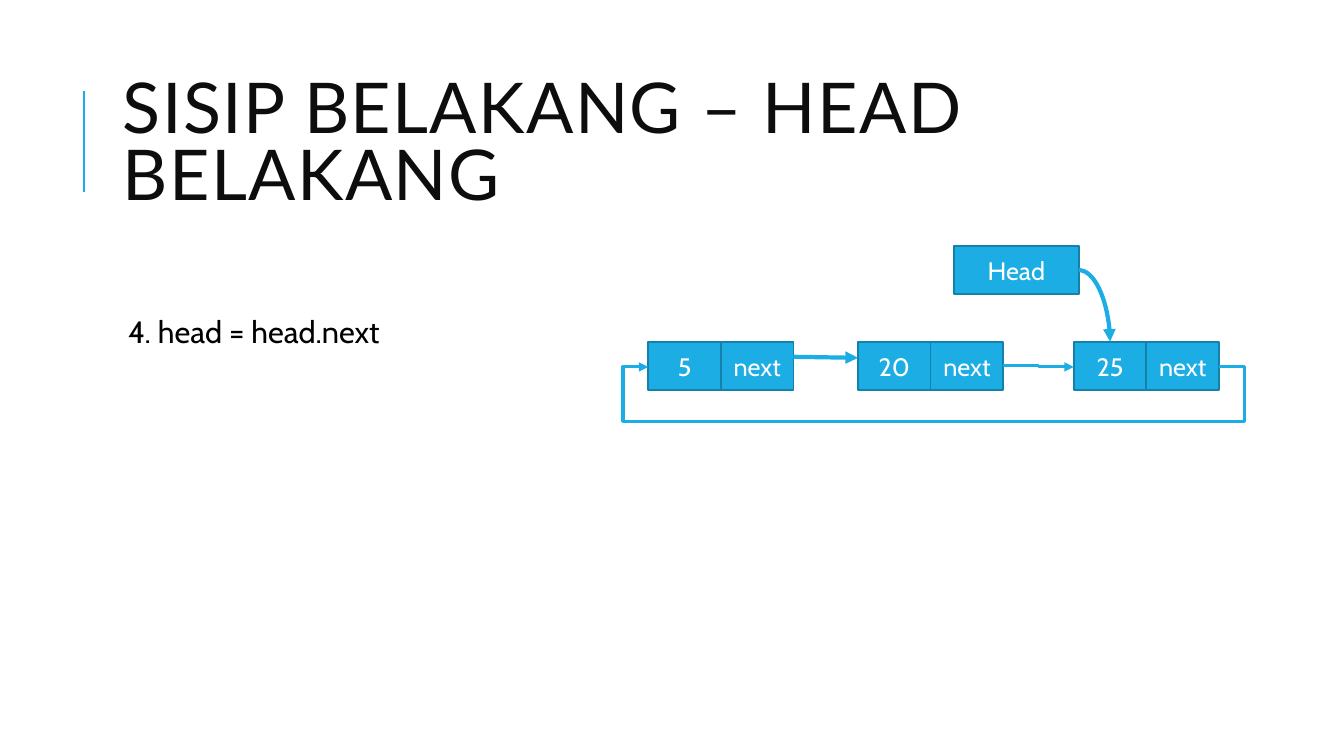
from lxml import etree
from pptx import Presentation
from pptx.dml.color import RGBColor
from pptx.enum.shapes import MSO_CONNECTOR, MSO_SHAPE
from pptx.enum.text import MSO_ANCHOR, PP_ALIGN
from pptx.oxml.ns import qn
from pptx.util import Inches, Pt

BLUE = RGBColor(0x1C, 0xAD, 0xE4)
DARK_BLUE = RGBColor(0x15, 0x80, 0xA9)
WHITE = RGBColor(0xFF, 0xFF, 0xFF)
BLACK = RGBColor(0, 0, 0)
TITLE_BLACK = RGBColor(0x0D, 0x0D, 0x0D)
CELL_W, CELL_H = 0.72, 0.48


def write(frame, text, font, size, color):
    frame.word_wrap = True
    paragraph = frame.paragraphs[0]
    run = paragraph.add_run()
    run.text = text
    run.font.name = font
    run.font.size = Pt(size)
    run.font.color.rgb = color
    return paragraph, run


def style_line(shape, width, arrow=False):
    shape.line.color.rgb = BLUE
    shape.line.width = Pt(width)
    if arrow:
        etree.SubElement(shape.line._get_or_add_ln(), qn("a:tailEnd"), type="triangle")


def add_link(slide, kind, start, end, width, arrow=True):
    link = slide.shapes.add_connector(kind, *map(Inches, start + end))
    style_line(link, width, arrow)
    etree.SubElement(link._element.spPr, qn("a:effectLst"))
    return link


def add_cell(slide, left, top, width, text):
    cell = slide.shapes.add_shape(
        MSO_SHAPE.RECTANGLE, *map(Inches, (left, top, width, CELL_H)))
    cell.shadow.inherit = False
    cell.fill.solid()
    cell.fill.fore_color.rgb = BLUE
    cell.line.color.rgb = DARK_BLUE
    cell.line.width = Pt(1.25)
    cell.text_frame.vertical_anchor = MSO_ANCHOR.MIDDLE
    paragraph, _ = write(cell.text_frame, text, "Cabin", 18, WHITE)
    paragraph.alignment = PP_ALIGN.CENTER


def add_node(slide, left, top, value):
    add_cell(slide, left, top, CELL_W, value)
    add_cell(slide, left + CELL_W, top, CELL_W, "next")


def add_title(slide, left, top, width, height):
    add_link(slide, MSO_CONNECTOR.STRAIGHT,
             (left - 0.29, top + 1.26), (left - 0.29, top + 0.26), 1.5, arrow=False)
    box = slide.shapes.add_textbox(*map(Inches, (left, top, width, height)))
    box.text_frame.vertical_anchor = MSO_ANCHOR.MIDDLE
    paragraph, run = write(
        box.text_frame, "SISIP BELAKANG – HEAD BELAKANG", "Lato", 50, TITLE_BLACK)
    paragraph.line_spacing = 0.8
    run.font._element.set("spc", "100")


def add_step(slide, left, top, width, height):
    box = slide.shapes.add_textbox(*map(Inches, (left, top, width, height)))
    frame = box.text_frame
    frame.margin_left = Inches(0.15)
    frame.margin_top = frame.margin_right = frame.margin_bottom = Inches(0.05)
    paragraph, _ = write(frame, "4. head = head.next", "Cabin", 22, BLACK)
    paragraph.line_spacing = 0.9
    paragraph.space_before = Pt(12)
    paragraph.space_after = Pt(2)


def add_return_path(slide, start, end, drop):
    margin = 0.25
    right, left = start[0] + margin, end[0] - margin
    bottom = start[1] + drop
    points = [start, (right, start[1]), (right, bottom),
              (left, bottom), (left, end[1]), end]
    builder = slide.shapes.build_freeform(
        *map(Inches, points[0]), scale=1.0)
    builder.add_line_segments(
        [tuple(map(Inches, point)) for point in points[1:]], close=False)
    path = builder.convert_to_shape()
    path.shadow.inherit = False
    path.fill.background()
    style_line(path, 2.25, arrow=True)


def add_circular_list(slide, left, top):
    node_top = top + 0.95
    middle = node_top + CELL_H / 2
    first, second, last = left, left + 2.08, left + 4.22
    node_w = 2 * CELL_W
    for node_left, value in ((first, "5"), (second, "20"), (last, "25")):
        add_node(slide, node_left, node_top, value)

    head_left, head_w = left + 3.03, 1.24
    add_cell(slide, head_left, top, head_w, "Head")
    head_link = add_link(slide, MSO_CONNECTOR.CURVE,
                         (head_left + head_w, top + CELL_H / 2),
                         (last + CELL_W / 2, node_top), 3)
    head_link._element.spPr.find(qn("a:prstGeom")).set("prst", "curvedConnector2")

    add_link(slide, MSO_CONNECTOR.STRAIGHT,
             (first + node_w, node_top + 0.15), (second, node_top + 0.16), 3)
    add_link(slide, MSO_CONNECTOR.ELBOW,
             (second + node_w, middle), (last, middle + 0.01), 2.25)
    add_return_path(slide, (last + node_w, middle + 0.01), (first, middle + 0.01), 0.54)


presentation = Presentation()
presentation.slide_width = Inches(13.33)
presentation.slide_height = Inches(7.5)
slide = presentation.slides.add_slide(presentation.slide_layouts[6])
add_title(slide, 1.12, 0.64, 10.63, 1.64)
add_step(slide, 1.12, 3.09, 4.67, 1.05)
add_circular_list(slide, 6.43, 2.44)
presentation.save("out.pptx")
